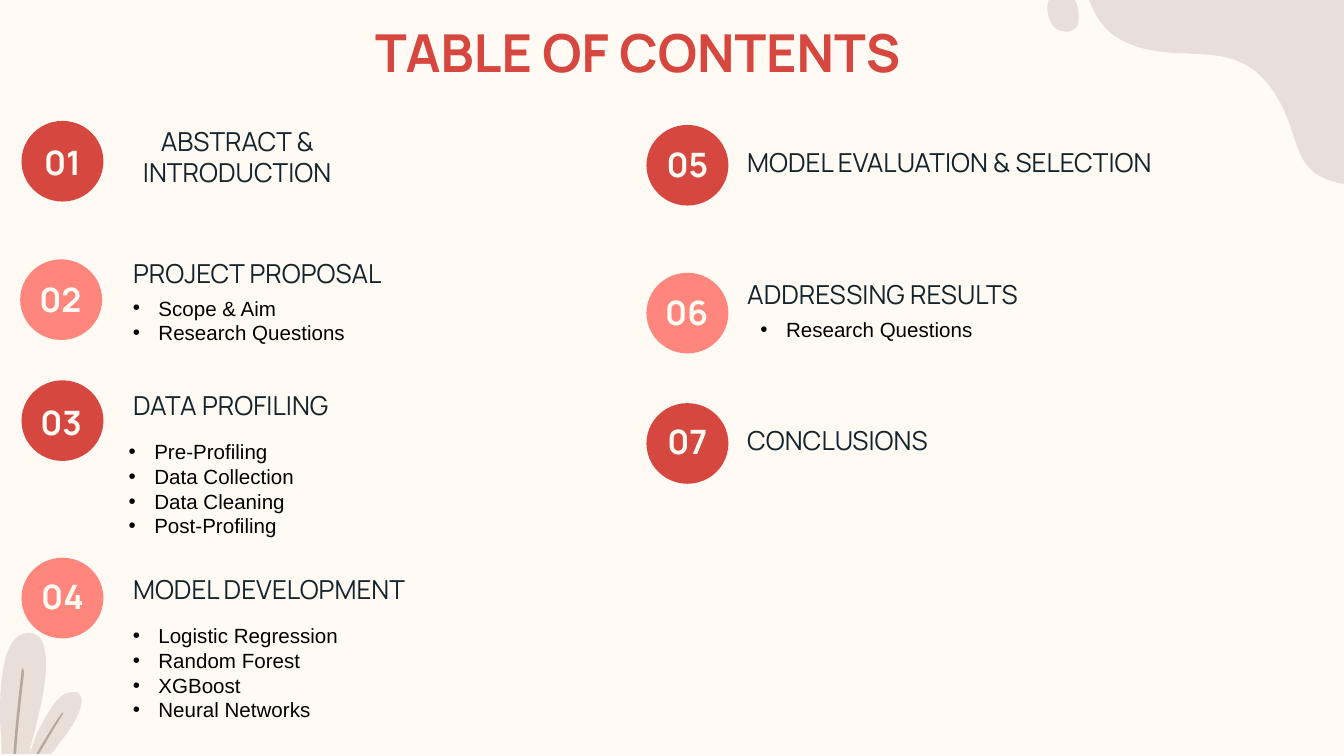
from lxml import etree
from pptx import Presentation
from pptx.dml.color import RGBColor
from pptx.enum.shapes import MSO_SHAPE
from pptx.enum.text import MSO_ANCHOR, MSO_AUTO_SIZE, PP_ALIGN
from pptx.oxml.ns import qn
from pptx.util import Inches, Pt

CREAM = RGBColor(0xFF, 0xFA, 0xF3)
RED = RGBColor(0xD6, 0x47, 0x3F)
CORAL = RGBColor(0xFF, 0x86, 0x7C)
NAVY = RGBColor(0x13, 0x24, 0x2C)
BLACK = RGBColor(0x00, 0x00, 0x00)
SAND = RGBColor(0xE7, 0xDF, 0xD8)
TAUPE = RGBColor(0xB7, 0xA8, 0x9E)

OVAL = MSO_SHAPE.OVAL
LEFT, CENTER = PP_ALIGN.LEFT, PP_ALIGN.CENTER
TOP, MIDDLE = MSO_ANCHOR.TOP, MSO_ANCHOR.MIDDLE
GROW = MSO_AUTO_SIZE.SHAPE_TO_FIT_TEXT

DISPLAY_FONT, BODY_FONT = "Manrope", "Arial"
GRID_COLUMNS = 10  # square cells, rows as tall as columns are wide
CIRCLE_SIZE = (0.61, 0.6)
HEADING_HEIGHT = 0.41
LINE_HEIGHT, LIST_MARGIN = 0.185, 0.1

# Outlines: start point, then lines (x, y) or curves (x1, y1, x2, y2, x, y)
DECORATIONS = [
    # Small leaf and its vein
    (SAND, 0, [(0.53, 5.15), (0.43, 5.15, 0.34, 5.33, 0.28, 5.45),
               (0.25, 5.51, 0.24, 5.56, 0.24, 5.56),
               (0.22, 5.58, 0.22, 5.6, 0.21, 5.61), (0.38, 5.61),
               (0.41, 5.58, 0.43, 5.55, 0.45, 5.52),
               (0.55, 5.4, 0.67, 5.2, 0.57, 5.15),
               (0.55, 5.15, 0.54, 5.15, 0.53, 5.15)]),
    (TAUPE, 0, [(0.47, 5.3), (0.47, 5.3, 0.46, 5.3, 0.46, 5.31),
                (0.45, 5.31, 0.34, 5.49, 0.27, 5.61), (0.29, 5.61),
                (0.36, 5.49, 0.47, 5.31, 0.47, 5.31),
                (0.47, 5.31, 0.47, 5.31, 0.47, 5.3)]),
    # Large leaf and its vein
    (SAND, 0, [(0.21, 4.71), (0.02, 4.71, 0, 5.09, 0, 5.31),
               (0, 5.42, 0.01, 5.49, 0.01, 5.49), (0.01, 5.58), (0.01, 5.61),
               (0.21, 5.61), (0.24, 5.52, 0.27, 5.39, 0.29, 5.31),
               (0.35, 5.06, 0.39, 4.71, 0.22, 4.71),
               (0.21, 4.71, 0.21, 4.71, 0.21, 4.71)]),
    (TAUPE, 0, [(0.17, 4.97), (0.16, 4.99), (0.16, 5.01, 0.11, 5.41, 0.1, 5.61),
                (0.12, 5.61), (0.13, 5.41, 0.18, 5, 0.18, 5),
                (0.18, 4.99, 0.18, 4.99, 0.17, 4.97)]),
    # Corner wave and drop
    (SAND, 0, [(8.06, -0.19), (8.06, -0.19, 8.09, 0.16, 8.33, 0.29),
               (8.72, 0.51, 9.14, 0.26, 9.43, 0.62),
               (9.72, 0.98, 9.55, 1.29, 10, 1.37), (10, -0.19)]),
    (SAND, 7.4, [(7.91, -0.05), (7.76, -0.07, 7.76, 0.1, 7.85, 0.2),
                 (7.88, 0.23, 7.9, 0.23, 7.93, 0.23),
                 (7.99, 0.24, 8.05, 0.19, 8.03, 0.11),
                 (8.02, 0.03, 7.99, -0.04, 7.91, -0.05)]),
]

# Circle corner, number box, heading box (left, top, width), heading,
# list box (left, top, width), list items
ENTRIES = [
    ((0.16, 0.9), (0.23, 1.02, 0.47, 0.37), (0.92, 0.96, 1.69),
     ["ABSTRACT &", "INTRODUCTION"], None, []),
    ((0.15, 1.93), (0.22, 2.03, 0.46, 0.39), (0.99, 1.83, 2.48),
     ["PROJECT PROPOSAL"], (0.89, 2.15, 1.79), ["Scope & Aim", "Research Questions"]),
    ((0.16, 2.83), (0.23, 2.96, 0.45, 0.36), (0.99, 2.81, 1.83),
     ["DATA PROFILING"], (0.86, 3.22, 1.44),
     ["Pre-Profiling", "Data Collection", "Data Cleaning", "Post-Profiling"]),
    ((0.16, 4.15), (0.16, 4.22, 0.61, 0.43), (0.99, 4.18, 3.6),
     ["MODEL DEVELOPMENT"], (0.89, 4.59, 1.74),
     ["Logistic Regression", "Random Forest", "XGBoost", "Neural Networks"]),
    ((4.81, 0.93), (4.81, 1.01, 0.61, 0.43), (5.56, 1, 3.76),
     ["MODEL EVALUATION & SELECTION"], None, []),
    ((4.81, 2.03), (4.88, 2.13, 0.46, 0.39), (5.56, 1.98, 3.55),
     ["ADDRESSING RESULTS"], (5.56, 2.31, 1.79), ["Research Questions"]),
    ((4.81, 3), (4.81, 3.07, 0.61, 0.43), (5.56, 3.07, 3.76),
     ["CONCLUSIONS"], None, []),
]


class SlideBuilder:
    def __init__(self, presentation):
        self.cell = presentation.slide_width / GRID_COLUMNS
        self.slide = presentation.slides.add_slide(presentation.slide_layouts[6])
        self.slide.background.fill.solid()
        self.slide.background.fill.fore_color.rgb = CREAM

    def grid(self, *lengths):
        return [round(length * self.cell) for length in lengths]

    def paint(self, shape, color):
        shape.shadow.inherit = False
        shape.fill.solid()
        shape.fill.fore_color.rgb = color
        shape.line.fill.background()

    def circle(self, corner, color):
        box = self.grid(*corner, *CIRCLE_SIZE)
        self.paint(self.slide.shapes.add_shape(OVAL, *box), color)

    def outline(self, color, rotation, segments):
        corners = [self.grid(*segment[i:i + 2])
                   for segment in segments for i in range(0, len(segment), 2)]
        builder = self.slide.shapes.build_freeform(*corners[0])
        builder.add_line_segments(corners[1:], close=True)
        shape = builder.convert_to_shape()
        # Join each three points of a curve into one Bézier segment
        lines = iter(list(shape._element.iter(qn("a:lnTo"))))
        for segment in segments[1:]:
            line = next(lines)
            if len(segment) == 6:
                line.tag = qn("a:cubicBezTo")
                for control in (next(lines), next(lines)):
                    line.append(control[0])
                    control.getparent().remove(control)
        shape.rotation = rotation
        self.paint(shape, color)

    def text(self, box, lines, size, color, font=DISPLAY_FONT, bold=False,
             align=LEFT, anchor=MIDDLE, insets=(0, 0)):
        frame = self.slide.shapes.add_textbox(*self.grid(*box)).text_frame
        frame.word_wrap = True
        frame.vertical_anchor = anchor
        frame.margin_left = frame.margin_right = Inches(insets[0])
        frame.margin_top = frame.margin_bottom = Inches(insets[1])
        frame.text = "\n".join(lines)
        for paragraph in frame.paragraphs:
            paragraph.alignment = align
            for run in paragraph.runs:
                run.font.name = font
                run.font.size = Pt(size)
                run.font.bold = bold
                run.font.color.rgb = color
        return frame

    def bullets(self, box, items):
        height = len(items) * LINE_HEIGHT + LIST_MARGIN
        frame = self.text((*box, height), items, 11, BLACK, BODY_FONT, anchor=TOP,
                          insets=(LIST_MARGIN, LIST_MARGIN / 2))
        frame.auto_size = GROW
        for paragraph in frame.paragraphs:
            properties = paragraph._p.get_or_add_pPr()
            properties.set("marL", str(Inches(0.19)))
            properties.set("indent", str(-Inches(0.19)))
            etree.SubElement(properties, qn("a:buFont")).set("typeface", BODY_FONT)
            etree.SubElement(properties, qn("a:buChar")).set("char", "•")

    def entry(self, number, corner, number_box, heading_box, heading, list_box, items):
        self.circle(corner, RED if number % 2 else CORAL)
        self.text(number_box, [f"{number:02}"], 18, CREAM, bold=True, align=CENTER)
        self.text((*heading_box, HEADING_HEIGHT), heading, 14, NAVY,
                  align=CENTER if len(heading) > 1 else LEFT)
        if items:
            self.bullets(list_box, items)


def main():
    presentation = Presentation()
    presentation.slide_width = Inches(10)
    presentation.slide_height = presentation.slide_width * 9 // 16
    builder = SlideBuilder(presentation)

    # Background decorations
    for decoration in DECORATIONS:
        builder.outline(*decoration)

    # Title
    builder.text((0.53, 0.15, 8.43, 0.63), ["TABLE OF CONTENTS"], 28, RED,
                 bold=True, align=CENTER, anchor=TOP)

    # Numbered contents
    for number, entry in enumerate(ENTRIES, start=1):
        builder.entry(number, *entry)

    presentation.save("out.pptx")


if __name__ == "__main__":
    main()
